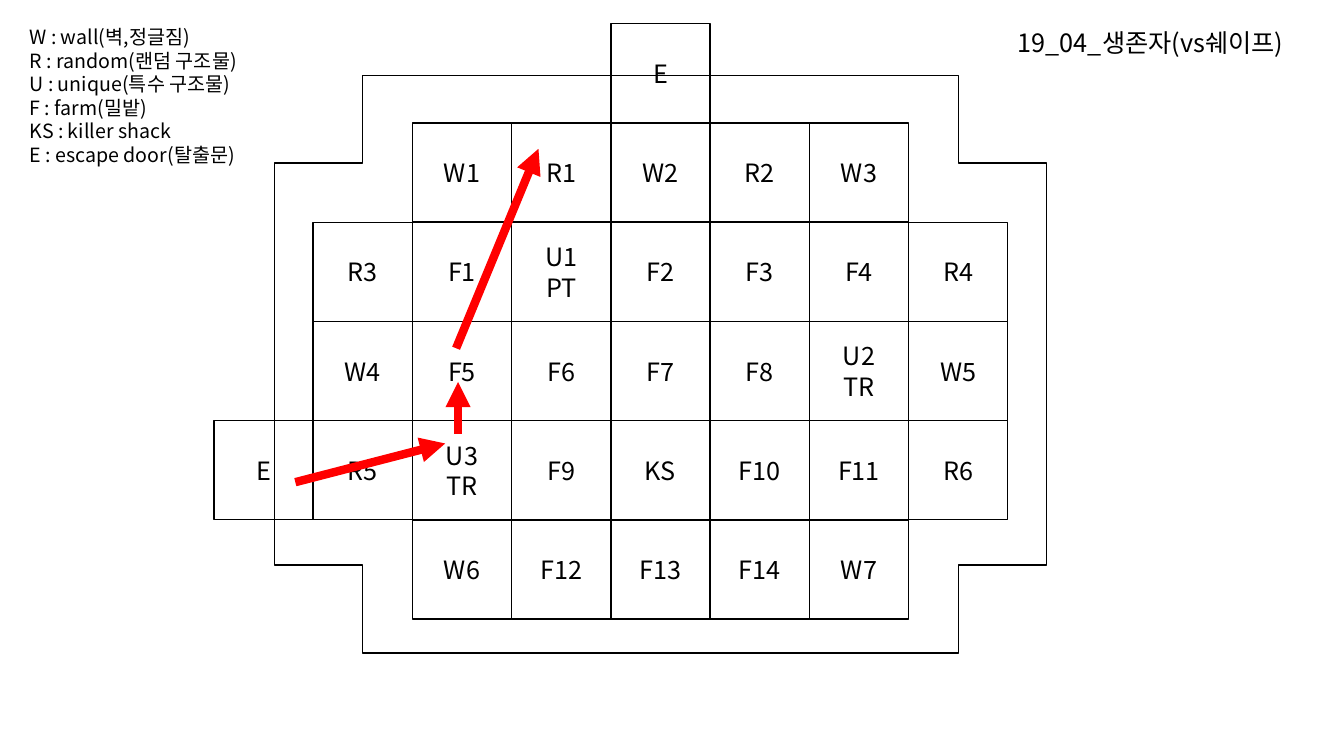
import pptx
import pptx.dml.color
import pptx.enum.shapes
import pptx.enum.text
import pptx.oxml.ns
import pptx.util
from dataclasses import dataclass
from lxml import etree

qn = pptx.oxml.ns.qn
Align = pptx.enum.text.PP_ALIGN
Anchor = pptx.enum.text.MSO_ANCHOR
ShapeType = pptx.enum.shapes.MSO_SHAPE


@dataclass(frozen=True)
class Theme:
    font: str = "Noto Sans CJK KR"
    ink: str = "000000"
    paper: str = "FFFFFF"
    route: str = "FF0000"
    label_size: int = 18
    legend_size: int = 14
    thin: int = 1
    thick: int = 6


def rgb(value):
    return pptx.dml.color.RGBColor.from_string(value)


def write_text(frame, text, *, font, size, color, align=Align.LEFT, anchor=Anchor.TOP):
    """Fill a frame; a newline starts a paragraph, a vertical tab breaks a line."""
    frame.text = text
    frame.word_wrap = True
    frame.vertical_anchor = anchor
    for paragraph in frame.paragraphs:
        properties = paragraph._p.get_or_add_pPr()
        properties.set("marL", "0")
        properties.set("indent", "0")
        etree.SubElement(properties, qn("a:buNone"))
        paragraph.alignment = align
        paragraph.space_before = pptx.util.Pt(0)
        for run in paragraph.runs:
            run.font.name = font
            run.font.size = pptx.util.Pt(size)
            run.font.color.rgb = rgb(color)
            east_asian = etree.SubElement(run._r.get_or_add_rPr(), qn("a:ea"))
            east_asian.set("typeface", font)


class MapSlide:
    """Places elements in columns and rows of the square map grid."""

    left, top, pitch = (pptx.util.Cm(value) for value in (5.39, 0.6, 2.5))

    def __init__(self, slide, theme):
        self.slide = slide
        self.theme = theme

    def point(self, column, row):
        return int(self.left + column * self.pitch), int(self.top + row * self.pitch)

    def box(self, column, row, columns, rows):
        return *self.point(column, row), int(columns * self.pitch), int(rows * self.pitch)

    def placeholder(self, shape, text, size, box):
        shape.left, shape.top, shape.width, shape.height = self.box(*box)
        write_text(shape.text_frame, text, font=self.theme.font, size=size,
                   color=self.theme.ink)
        shape.text_frame.auto_size = pptx.enum.text.MSO_AUTO_SIZE.SHAPE_TO_FIT_TEXT

    def outlined(self, kind, box, fill=None):
        shape = self.slide.shapes.add_shape(kind, *self.box(*box))
        shape.shadow.inherit = False
        if fill:
            shape.fill.solid()
            shape.fill.fore_color.rgb = rgb(fill)
        else:
            shape.fill.background()
        shape.line.color.rgb = rgb(self.theme.ink)
        shape.line.width = pptx.util.Pt(self.theme.thin)
        return shape

    def outline(self, box, notch):
        shape = self.outlined(ShapeType.CROSS, box)
        shape.adjustments[0] = notch
        shape.rotation = 270

    def cell(self, column, row, label, fill=None):
        shape = self.outlined(ShapeType.RECTANGLE, (column, row, 1, 1), fill)
        write_text(shape.text_frame, label, font=self.theme.font,
                   size=self.theme.label_size, color=self.theme.ink,
                   align=Align.CENTER, anchor=Anchor.MIDDLE)

    def arrow(self, start, end):
        connector = self.slide.shapes.add_connector(
            pptx.enum.shapes.MSO_CONNECTOR.STRAIGHT, *self.point(*start), *self.point(*end))
        connector.line.color.rgb = rgb(self.theme.route)
        connector.line.width = pptx.util.Pt(self.theme.thick)
        head = etree.SubElement(connector.line._get_or_add_ln(), qn("a:tailEnd"))
        head.set("type", "triangle")
        etree.SubElement(connector._element.spPr, qn("a:effectLst"))


TITLE = "19_04_생존자(vs쉐이프)"
LEGEND = """W : wall(벽,정글짐)
R : random(랜덤 구조물)
U : unique(특수 구조물)
F : farm(밀밭)
KS : killer shack\vE : escape door(탈출문)"""

# Rows of the map: first column, then labels from left to right
MAP_ROWS = [
    (4, ["E"]),
    (2, ["W1", "R1", "W2", "R2", "W3"]),
    (1, ["R3", "F1", "U1\vPT", "F2", "F3", "F4", "R4"]),
    (1, ["W4", "F5", "F6", "F7", "F8", "U2\vTR", "W5"]),
    (0, ["E", "R5", "U3\vTR", "F9", "KS", "F10", "F11", "R6"]),
    (2, ["W6", "F12", "F13", "F14", "W7"]),
]
ROUTE = [
    ((0.82, 4.62), (2.33, 4.23)),
    ((2.46, 4.13), (2.46, 3.61)),
    ((2.44, 3.27), (3.27, 1.26)),
]


def main():
    theme = Theme()
    presentation = pptx.Presentation()
    presentation.slide_width = pptx.util.Inches(13.33)
    presentation.slide_height = pptx.util.Inches(7.5)
    slide = presentation.slides.add_slide(presentation.slide_layouts[1])
    survivor_map = MapSlide(slide, theme)

    # Title and legend
    survivor_map.placeholder(slide.shapes.title, TITLE, theme.label_size,
                             (8, -0.02, 3.17, 0.41))
    survivor_map.placeholder(slide.placeholders[1], LEGEND, theme.legend_size,
                             (-1.96, -0.04, 2.38, 1.53))

    # Map border and cells
    survivor_map.outline((1.59, -0.46, 5.82, 7.78), notch=0.152)
    for row, (first_column, labels) in enumerate(MAP_ROWS):
        for column, label in enumerate(labels, first_column):
            survivor_map.cell(column, row, label, theme.paper if label == "W4" else None)

    # Route
    for start, end in ROUTE:
        survivor_map.arrow(start, end)

    presentation.save("out.pptx")


if __name__ == "__main__":
    main()
